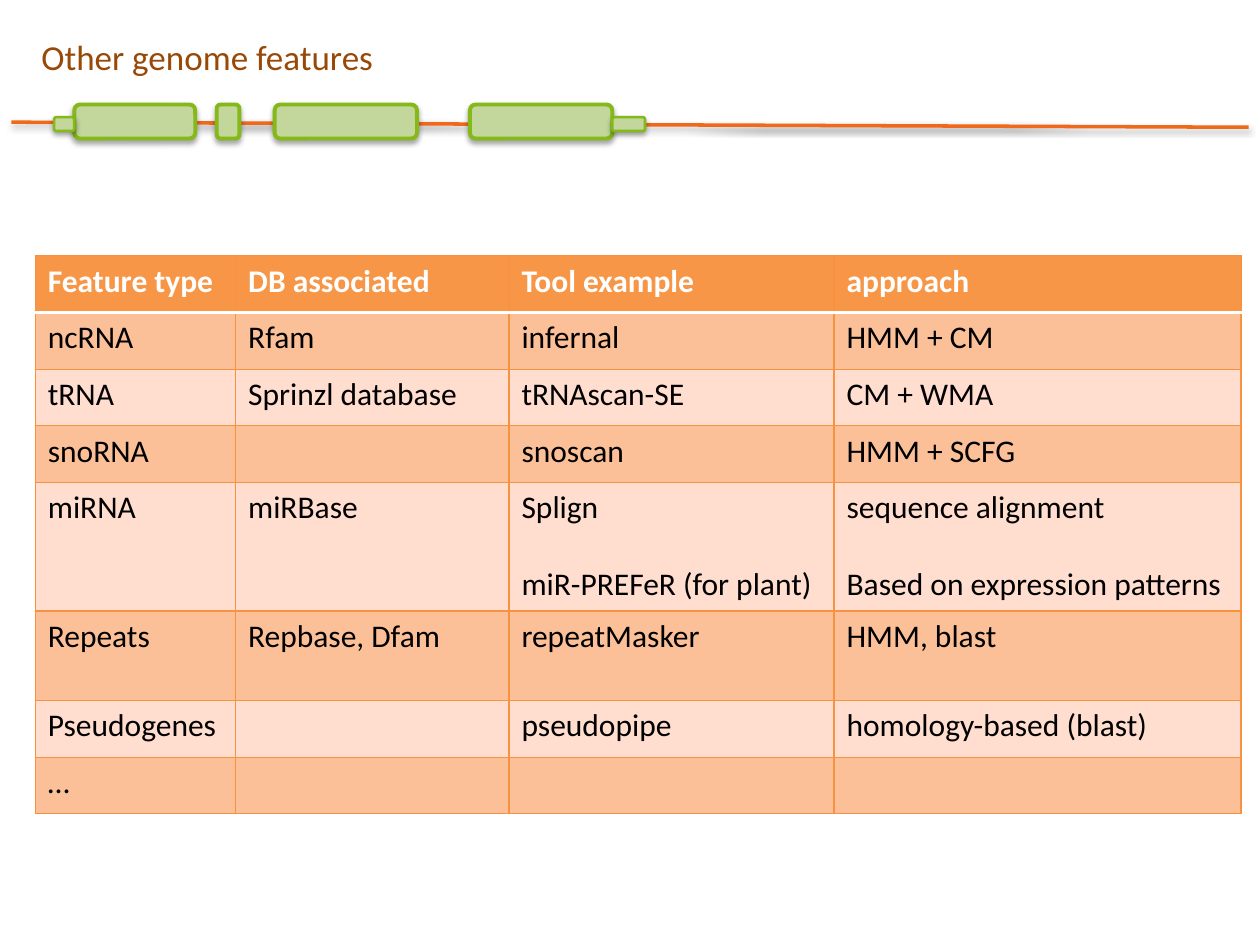
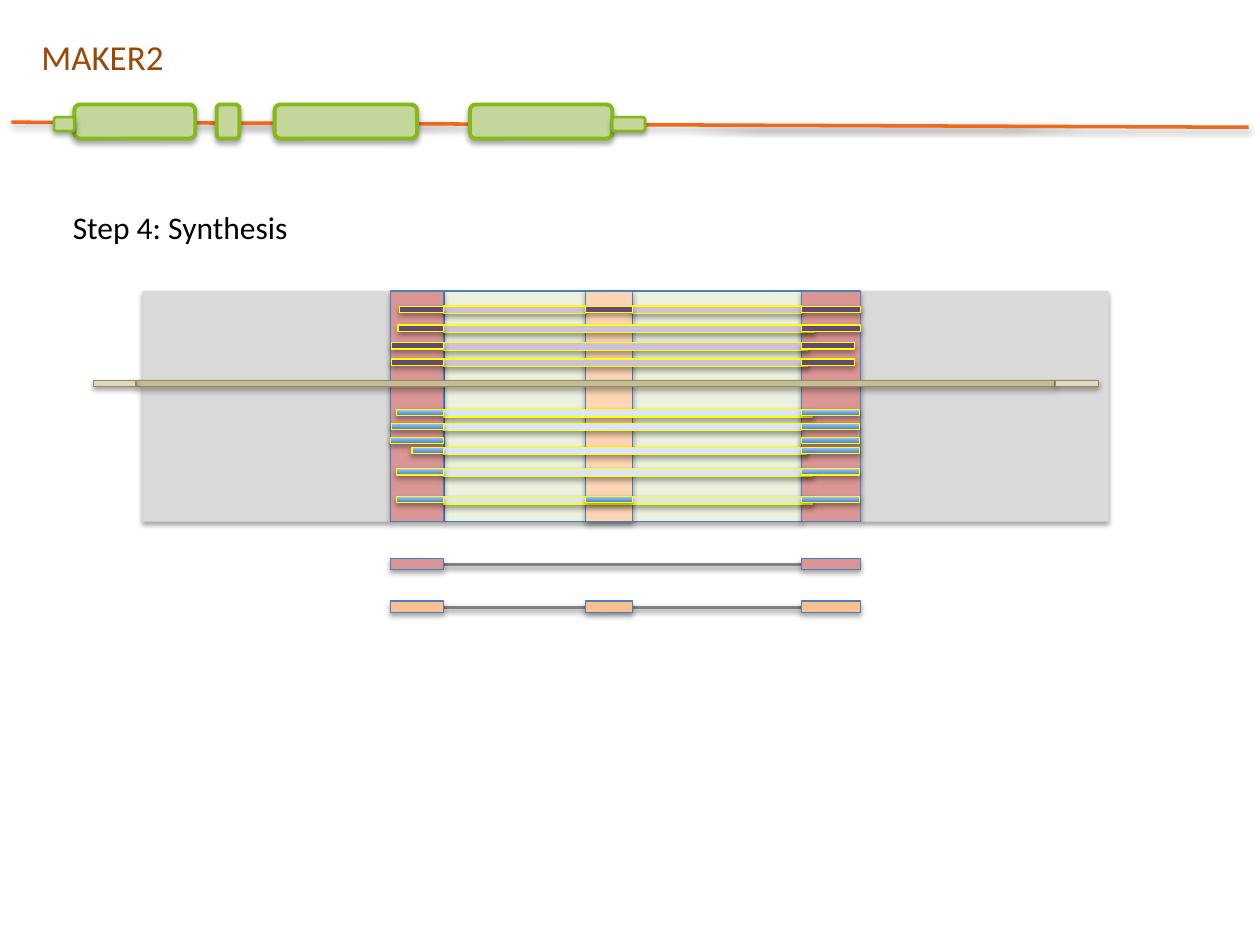
from collections import namedtuple
from lxml.etree import SubElement as Sub
from pptx import Presentation
from pptx.dml.color import RGBColor as RGB
from pptx.enum.shapes import MSO_CONNECTOR as LINK, MSO_SHAPE as FORM
from pptx.enum.text import MSO_AUTO_SIZE as AUTO
from pptx.oxml.ns import qn
from pptx.util import Inches, Pt

WIDE, HIGH = Inches(10), Inches(7.5)
COLS, ROWS = 1000, 750
FONT = "Calibri"

BLACK = RGB(0x00, 0x00, 0x00)
WHITE = RGB(0xFF, 0xFF, 0xFF)
BROWN = RGB(0x98, 0x48, 0x07)
FLAME = RGB(0xF0, 0x68, 0x1A)
LEAF = RGB(0xC3, 0xD6, 0x9B)
GREEN = RGB(0x84, 0xB9, 0x19)
HEAD = RGB(0xF7, 0x96, 0x46)
EDGE = RGB(0xF6, 0x92, 0x40)
DARK = RGB(0xFC, 0xC0, 0x99)
PALE = RGB(0xFF, 0xDD, 0xCF)
GREY = RGB(0xD9, 0xD9, 0xD9)
STEEL = RGB(0x80, 0x80, 0x80)
MINT = RGB(0xEB, 0xF1, 0xDE)
PEACH = RGB(0xFC, 0xD5, 0xB5)
ROSE = RGB(0xD9, 0x96, 0x94)
AMBER = RGB(0xFA, 0xC0, 0x90)
BLUE = RGB(0x4B, 0x7E, 0xBC)
YELLOW = RGB(0xFF, 0xFF, 0x00)
PLUM = RGB(0x60, 0x4A, 0x7B)
LILAC = RGB(0xCC, 0xC1, 0xDA)
ICE = RGB(0xDC, 0xE6, 0xF2)
SEA = RGB(0x3F, 0x80, 0xCE)
SKY = RGB(0xA4, 0xC4, 0xFF)
SAND = RGB(0xC4, 0xBD, 0x97)
CREAM = RGB(0xDD, 0xD9, 0xC3)
OLIVE = RGB(0x94, 0x8A, 0x54)

Box = namedtuple("Box", "x y w h")
Track = namedtuple("Track", "y start end gaps mid", defaults=(False,))

TITLE = Box(23, 23, 292, 44)
GENE = Box(9, 83, 982, 27)
TABLE = Box(28, 203, 957, 443)
STEP = Box(48, 160, 193, 40)
PANEL = Box(74, 231, 798, 255)

EXONS = ((50, 96), (163, 18), (209, 113), (364, 113))
ENDS = ((477, 26), (34, 16))

WIDTHS = (159, 217, 258, 323)
HEIGHTS = (45, 45, 45, 45, 102, 71, 45, 45)
CELLS = (
    ("Feature type", "DB associated", "Tool example", "approach"),
    ("ncRNA", "Rfam", "infernal", "HMM + CM"),
    ("tRNA", "Sprinzl database", "tRNAscan-SE", "CM + WMA"),
    ("snoRNA", "", "snoscan", "HMM + SCFG"),
    ("miRNA", "miRBase", "Splign\nmiR-PREFeR (for plant)",
     "sequence alignment\nBased on expression patterns"),
    ("Repeats", "Repbase, Dfam", "repeatMasker", "HMM, blast"),
    ("Pseudogenes", "", "pseudopipe", "homology-based (blast)"),
    ("…", "", "", ""),
)

LEFT, MID, RIGHT = (236, 42), (391, 37), (562, 47)
FROM = sum(LEFT)
UPPER = (
    Track(12, 243, 609, ((FROM, 391), (428, 562)), True),
    Track(27, 242, 609, ((FROM, 572),)),
    Track(41, 237, 604, ((FROM, 567),)),
    Track(54, 237, 604, ((FROM, 567),)),
)
LOWER = (
    Track(94, 241, 608, ((FROM, 571),)),
    Track(105, 237, 608, ((FROM, 562),)),
    Track(116, 236, 608, ()),
    Track(124, 253, 608, ((FROM, 566),)),
    Track(141, 241, 608, ((FROM, 571),)),
    Track(163, 241, 608, ((FROM, 571),), True),
)


def across(n):
    return round(WIDE * n / COLS)


def down(n):
    return round(HIGH * n / ROWS)


def place(box, x, y, w, h):
    return across(box.x + x), down(box.y + y), across(w), down(h)


def shade(item, dist, alpha):
    group = item._element.spPr.find(qn("a:effectLst"))
    if group is None:
        group = Sub(item._element.spPr, qn("a:effectLst"))
    cast = Sub(group, qn("a:outerShdw"), blurRad=str(int(Pt(3.1))),
               dist=str(int(Pt(dist))), dir="5400000", rotWithShape="0")
    tint = Sub(cast, qn("a:srgbClr"), val=str(BLACK))
    Sub(tint, qn("a:alpha"), val=str(alpha * 1000))


def block(slide, box, at, fill, edge=None, thick=0.75, form=FORM.RECTANGLE):
    item = slide.shapes.add_shape(form, *place(box, *at))
    if isinstance(fill, RGB):
        item.fill.solid()
        item.fill.fore_color.rgb = fill
    else:
        item.fill.gradient()
        item.fill.gradient_angle = 90
        for stop, tone in zip(item.fill.gradient_stops, fill):
            stop.color.rgb = tone
    if edge is None:
        item.line.fill.background()
    else:
        item.line.color.rgb = edge
        item.line.width = Pt(thick)
    item.shadow.inherit = False
    shade(item, 1.8, 35)


def rule(slide, box, start, end, tone):
    (x, y), (u, v) = start, end
    item = slide.shapes.add_connector(
        LINK.STRAIGHT, across(box.x + x), down(box.y + y),
        across(box.x + u), down(box.y + v))
    item.line.color.rgb = tone
    item.line.width = Pt(2)
    shade(item, 1.6, 38)


def style(para, size, tone, bold=False):
    font = para.font
    font.name, font.size, font.bold = FONT, Pt(size), bold
    font.color.rgb = tone


def label(slide, box, text, size, tone):
    frame = slide.shapes.add_textbox(*place(box, 0, 0, box.w, box.h)).text_frame
    frame.word_wrap = False
    frame.auto_size = AUTO.SHAPE_TO_FIT_TEXT
    frame.text = text
    style(frame.paragraphs[0], size, tone)


def gene(slide, box):
    rule(slide, box, (0, 14), (box.w, 18), FLAME)
    for x, w in EXONS:
        block(slide, box, (x, 0, w, box.h), LEAF, GREEN, 2.25,
              FORM.ROUNDED_RECTANGLE)
    for x, w in ENDS:
        block(slide, box, (x, 10, w, 11), LEAF, GREEN, 1.5,
              FORM.ROUNDED_RECTANGLE)


def page(deck, title, width):
    slide = deck.slides.add_slide(deck.slide_layouts[6])
    gene(slide, GENE)
    label(slide, TITLE._replace(w=width), title, 20, BROWN)
    return slide


def border(cell, side, tone, thick):
    line = Sub(cell._tc.get_or_add_tcPr(), qn("a:ln" + side),
               w=str(int(Pt(thick))))
    Sub(Sub(line, qn("a:solidFill")), qn("a:srgbClr"), val=str(tone))


def fill_cell(cell, text, row):
    cell.text = text
    for i, para in enumerate(cell.text_frame.paragraphs):
        style(para, 18, BLACK if row else WHITE, not row)
        para.space_before = Pt(22 * i)
    for side in "LRTB":
        white = (row, side) in ((0, "B"), (1, "T"))
        border(cell, side, *((WHITE, 2) if white else (EDGE, 0.75)))
    cell.fill.solid()
    cell.fill.fore_color.rgb = (DARK if row % 2 else PALE) if row else HEAD


def grid(slide, box):
    table = slide.shapes.add_table(
        len(HEIGHTS), len(WIDTHS), *place(box, 0, 0, box.w, box.h)).table
    for col, w in zip(table.columns, WIDTHS):
        col.width = across(w)
    for r, (h, words) in enumerate(zip(HEIGHTS, CELLS)):
        table.rows[r].height = down(h)
        for c, text in enumerate(words):
            fill_cell(table.cell(r, c), text, r)


def zones(slide, box):
    for (x, w), fill, edge in (
            ((279, 283), MINT, BLUE), (MID, PEACH, BLUE),
            ((609, 197), GREY, None), ((39, 197), GREY, None),
            (RIGHT, ROSE, BLUE), (LEFT, ROSE, BLUE)):
        block(slide, box, (x, 0, w, 183), fill, edge)


def contig(slide, box):
    for x, w, fill in ((34, 729, SAND), (764, 34, CREAM), (0, 34, CREAM)):
        block(slide, box, (x, 71, w, 5), fill, OLIVE)


def track(slide, box, item, exon, gap):
    for x, end in item.gaps:
        block(slide, box, (x, item.y, end - x, 6), gap, YELLOW)
    spans = [(item.start, FROM), (RIGHT[0], item.end)]
    if item.mid:
        spans.append((MID[0], sum(MID)))
    for x, end in spans:
        block(slide, box, (x, item.y, end - x, 5), exon, YELLOW)


def model(slide, box, y, fill, exons):
    rule(slide, box, (FROM, y + 5), (RIGHT[0], y + 5), STEEL)
    for x, w in exons:
        block(slide, box, (x, y, w, 9), fill, BLUE)


def panel(slide, box):
    zones(slide, box)
    contig(slide, box)
    for group, exon, gap in ((UPPER, PLUM, LILAC), (LOWER, (SEA, SKY), ICE)):
        for item in group:
            track(slide, box, item, exon, gap)
    model(slide, box, 212, ROSE, (LEFT, RIGHT))
    model(slide, box, 246, AMBER, (LEFT, RIGHT, MID))


def main():
    deck = Presentation()
    deck.slide_width, deck.slide_height = WIDE, HIGH
    grid(page(deck, "Other genome features", 292), TABLE)
    slide = page(deck, "MAKER2", 123)
    panel(slide, PANEL)
    label(slide, STEP, "Step 4: Synthesis", 18, BLACK)
    deck.save("out.pptx")


if __name__ == "__main__":
    main()
